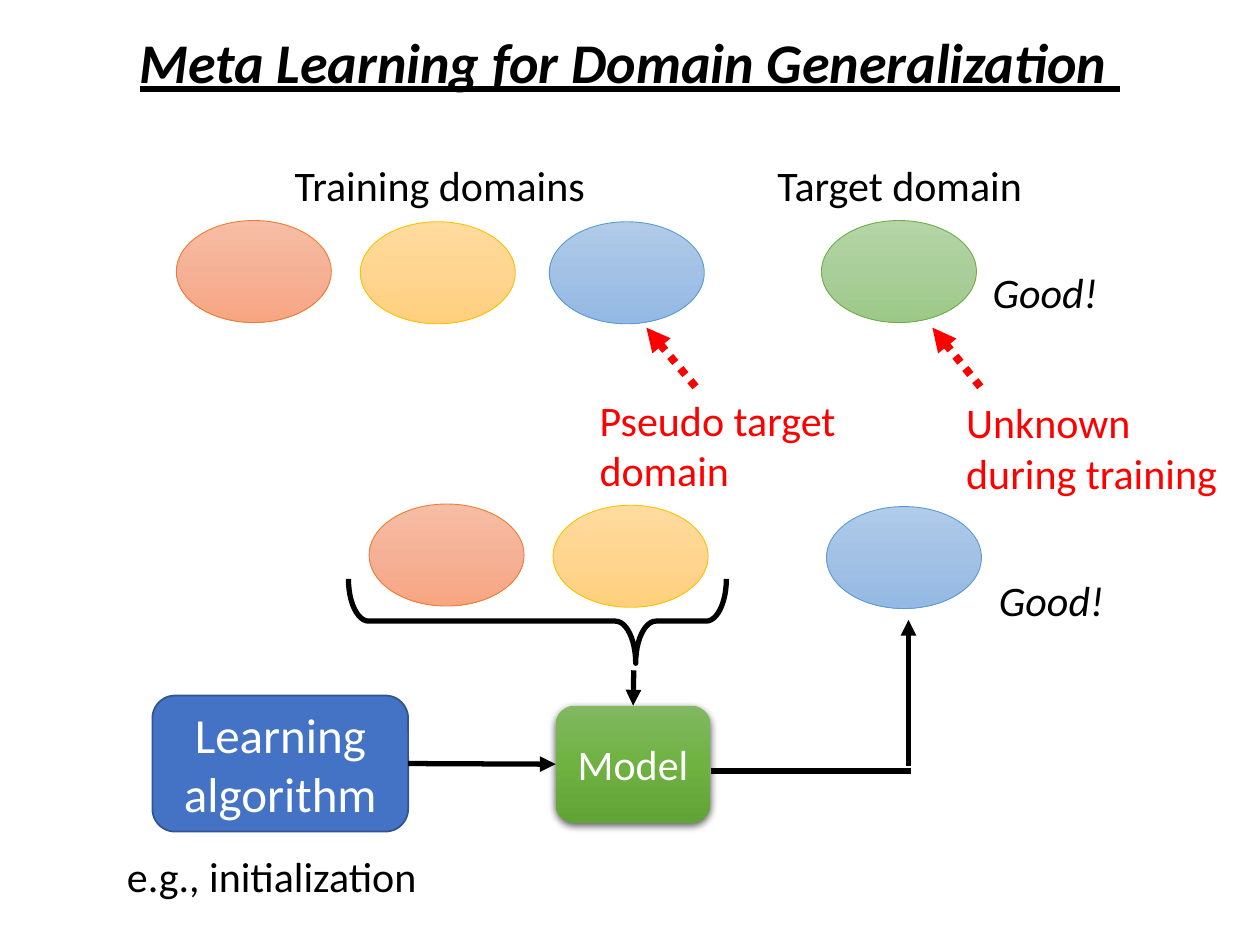
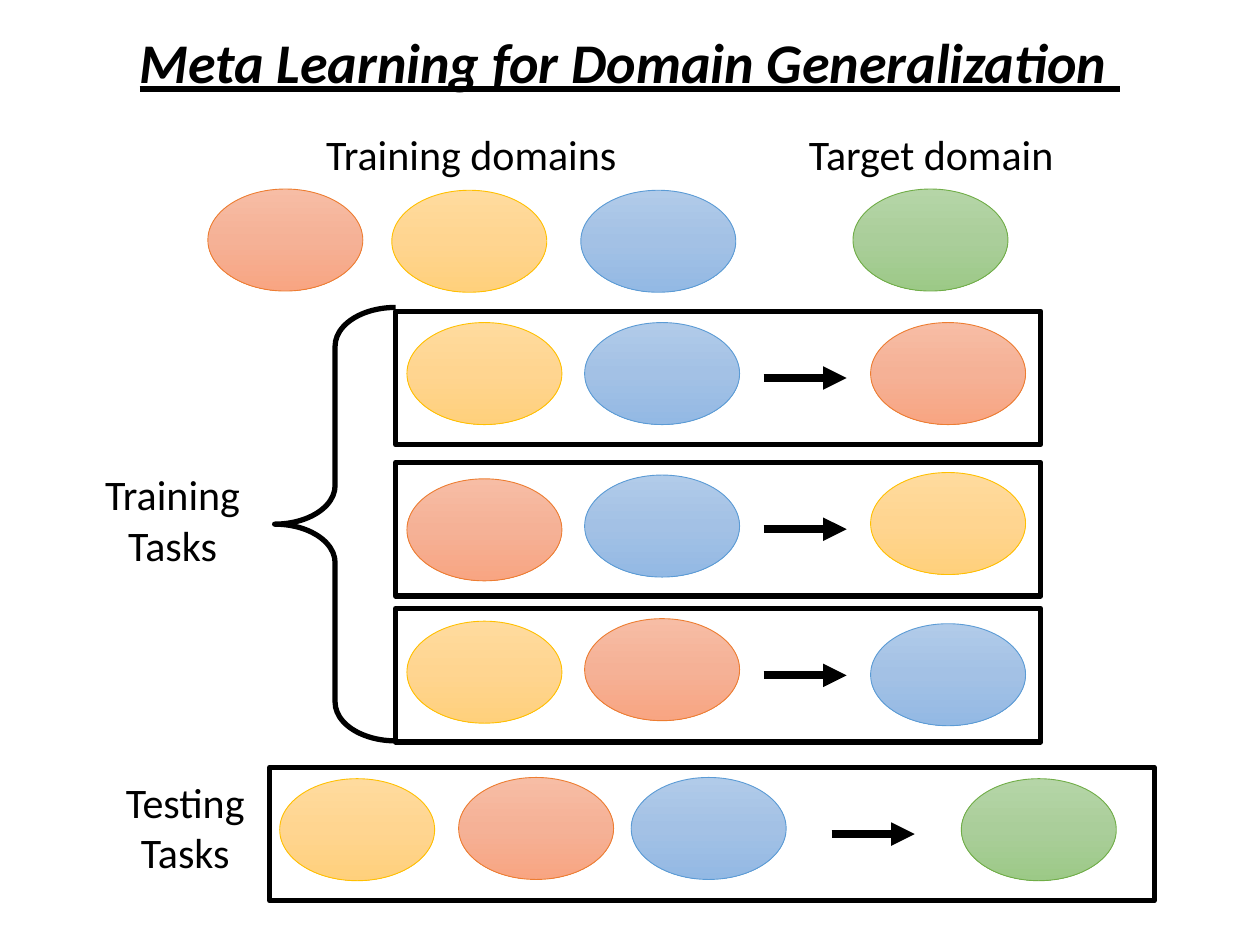
from copy import deepcopy

from lxml import etree
from pptx import Presentation
from pptx.dml.color import RGBColor
from pptx.enum import dml, shapes, text
from pptx.oxml import ns
from pptx.util import Inches, Pt

BLACK = RGBColor(0x00, 0x00, 0x00)
WHITE = RGBColor(0xFF, 0xFF, 0xFF)
RED = RGBColor(0xFF, 0x00, 0x00)
ALGORITHM_FILL = RGBColor(0x44, 0x72, 0xC4)
ALGORITHM_EDGE = RGBColor(0x32, 0x54, 0x91)
MODEL_SHADES = [RGBColor(0x81, 0xB8, 0x61), RGBColor(0x6F, 0xB2, 0x42), RGBColor(0x62, 0xA3, 0x36)]
DOMAIN_SHADES = {
    "orange": [RGBColor(0xF7, 0xBD, 0xA5), RGBColor(0xF5, 0xB1, 0x96), RGBColor(0xF8, 0xA5, 0x82)],
    "yellow": [RGBColor(0xFF, 0xDB, 0x9E), RGBColor(0xFF, 0xD5, 0x90), RGBColor(0xFF, 0xD0, 0x7C)],
    "blue": [RGBColor(0xB1, 0xCB, 0xE9), RGBColor(0xA3, 0xC1, 0xE5), RGBColor(0x93, 0xB9, 0xE4)],
    "green": [RGBColor(0xB5, 0xD5, 0xA7), RGBColor(0xAA, 0xCE, 0x9A), RGBColor(0x9C, 0xC9, 0x87)],
}
DOMAIN_EDGES = {
    "orange": RGBColor(0xED, 0x7D, 0x31),
    "yellow": RGBColor(0xFF, 0xC0, 0x00),
    "blue": RGBColor(0x5B, 0x9B, 0xD5),
    "green": RGBColor(0x70, 0xAD, 0x47),
}
FONT = "Calibri"
DOMAIN_SIZE = (1.23, 0.81)
LEFT, CENTER = text.PP_ALIGN.LEFT, text.PP_ALIGN.CENTER
PRESET = shapes.MSO_SHAPE

TITLE = "Meta Learning for Domain Generalization "
DOMAIN_GROUPS = [("Training domains", 1.89), ("Target domain", 5.54)]
DOMAINS = [("orange", 1.4, 1.75), ("yellow", 2.86, 1.76), ("blue", 4.36, 1.76), ("green", 6.52, 1.75)]

PSEUDO_SPLIT = [("orange", 2.93, 4.0), ("yellow", 4.39, 4.01), ("blue", 6.56, 4.02)]
REMARKS = [
    ("Good!", (7.78, 2.07, 1.81, 0.5), BLACK, True),
    ("Good!", (7.83, 4.51, 1.81, 0.5), BLACK, True),
    ("Unknown during training", (7.57, 3.1, 2.25, 0.91), RED, False),
    ("Pseudo target domain", (4.66, 3.08, 2.25, 0.91), RED, False),
    ("e.g., initialization", (0.91, 6.7, 2.67, 0.5), BLACK, False),
]
POINTERS = [((7.78, 3.07), (7.4, 2.6)), ((5.52, 3.07), (5.13, 2.6))]

TASK_LABELS = [("Training Tasks", 0.62, 3.67), ("Testing Tasks", 0.72, 6.11)]
TRAINING_COLUMNS = (3.23, 4.64, 6.91)
TESTING_COLUMNS = (2.22, 3.64, 5.01, 7.63)
TRAINING_FRAME = (3.14, 5.12)
TESTING_FRAME = (2.14, 7.02)
TASKS = [
    (2.47, TRAINING_FRAME, TRAINING_COLUMNS, 6.06,
     [("yellow", 2.56), ("blue", 2.56), ("orange", 2.56)]),
    (3.67, TRAINING_FRAME, TRAINING_COLUMNS, 6.06,
     [("orange", 3.8), ("blue", 3.77), ("yellow", 3.75)]),
    (4.83, TRAINING_FRAME, TRAINING_COLUMNS, 6.06,
     [("yellow", 4.93), ("orange", 4.91), ("blue", 4.95)]),
    (6.09, TESTING_FRAME, TESTING_COLUMNS, 6.6,
     [("yellow", 6.18), ("orange", 6.17), ("blue", 6.17), ("green", 6.18)]),
]


def write(frame, words, size=24, color=BLACK, align=LEFT, bold=False, italic=False, underline=False):
    frame.word_wrap = True
    paragraph = frame.paragraphs[0]
    paragraph.alignment = align
    run = paragraph.add_run()
    run.text = words
    font = run.font
    font.name, font.size, font.color.rgb = FONT, Pt(size), color
    font.bold, font.italic, font.underline = bold, italic, underline


def add_label(slide, words, box, **style):
    frame = slide.shapes.add_textbox(*map(Inches, box)).text_frame
    write(frame, words, **style)
    frame.auto_size = text.MSO_AUTO_SIZE.SHAPE_TO_FIT_TEXT


def fill_gradient(fill, shades):
    fill.gradient()
    fill.gradient_angle = 270
    first = fill._fill._gradFill.gsLst[0]
    middle = deepcopy(first)
    first.addnext(middle)
    for stop, shade, position in zip(fill.gradient_stops, shades, (0, 0.5, 1)):
        stop.color.rgb = shade
        stop.position = position


def add_part(slide, preset, box, fill=None, edge=None, width=3, adjust=()):
    part = slide.shapes.add_shape(preset, *map(Inches, box))
    part.shadow.inherit = False
    for index, value in enumerate(adjust):
        part.adjustments[index] = value
    if fill is None:
        part.fill.background()
    elif isinstance(fill, list):
        fill_gradient(part.fill, fill)
    else:
        part.fill.solid()
        part.fill.fore_color.rgb = fill
    if edge is None:
        part.line.fill.background()
    else:
        part.line.color.rgb = edge
        part.line.width = Pt(width)
    return part


def add_domain(slide, hue, left, top):
    add_part(slide, PRESET.OVAL, (left, top, *DOMAIN_SIZE), DOMAIN_SHADES[hue], DOMAIN_EDGES[hue], 0.5)


def add_line(slide, start, end, color=BLACK, width=3, dotted=False, arrow=True):
    line = slide.shapes.add_connector(shapes.MSO_CONNECTOR.STRAIGHT, *map(Inches, start + end))
    line.line.color.rgb = color
    line.line.width = Pt(width)
    if dotted:
        line.line.dash_style = dml.MSO_LINE.ROUND_DOT
    if arrow:
        etree.SubElement(line.line._get_or_add_ln(), ns.qn("a:tailEnd"), type="triangle")
    etree.SubElement(line._element.spPr, ns.qn("a:effectLst"))
    return line


def cast_shadow(part):
    effects = part._element.spPr.find(ns.qn("a:effectLst"))
    shadow = etree.SubElement(effects, ns.qn("a:outerShdw"), blurRad=str(Pt(4.5)), dist=str(Pt(1.5)),
                              dir="5400000", algn="ctr", rotWithShape="0")
    color = etree.SubElement(shadow, ns.qn("a:srgbClr"), val=str(BLACK))
    etree.SubElement(color, ns.qn("a:alpha"), val="63000")


def start_slide(deck, shift):
    slide = deck.slides.add_slide(deck.slide_layouts[6])
    add_label(slide, TITLE, (0.97, 0.17, 8.06, 0.64), size=32, align=CENTER,
              bold=True, italic=True, underline=True)
    for words, left in DOMAIN_GROUPS:
        add_label(slide, words, (left + shift, 1.22 - shift, 3.2, 0.5), align=CENTER)
    for hue, left, top in DOMAINS:
        add_domain(slide, hue, left + shift, top - shift)
    return slide


def build_learning_slide(deck):
    slide = start_slide(deck, 0)
    for words, box, color, italic in REMARKS:
        add_label(slide, words, box, color=color, italic=italic)
    for start, end in POINTERS:
        add_line(slide, start, end, RED, 4.5, dotted=True)
    for domain in PSEUDO_SPLIT:
        add_domain(slide, *domain)

    algorithm = add_part(slide, PRESET.ROUNDED_RECTANGLE, (1.21, 5.52, 2.03, 1.08),
                         ALGORITHM_FILL, ALGORITHM_EDGE, 1)
    write(algorithm.text_frame, "Learning algorithm", size=28, color=WHITE, align=CENTER)
    model = add_part(slide, PRESET.ROUNDED_RECTANGLE, (4.41, 5.6, 1.23, 0.93), MODEL_SHADES)
    write(model.text_frame, "Model", color=WHITE, align=CENTER)
    cast_shadow(model)

    brace = add_part(slide, PRESET.RIGHT_BRACE, (3.93, 3.43, 0.67, 3), edge=BLACK, adjust=(0.24, 0.24))
    brace.rotation = 90
    learned = add_line(slide, (3.24, 6.06), (4.41, 6.06))
    learned.begin_connect(algorithm, 3)
    learned.end_connect(model, 1)
    trained = add_line(slide, (5.03, 5.32), (5.03, 5.6))
    trained.end_connect(model, 0)
    add_line(slide, (5.64, 6.12), (7.23, 6.12), arrow=False)
    add_line(slide, (7.21, 6.08), (7.21, 4.92))


def build_tasks_slide(deck):
    slide = start_slide(deck, 0.25)
    for words, left, top in TASK_LABELS:
        add_label(slide, words, (left, top, 1.5, 0.91), align=CENTER)
    add_part(slide, PRESET.LEFT_BRACE, (2.18, 2.44, 0.96, 3.44), edge=BLACK, adjust=(0.32, 0.5))
    for top, (left, width), columns, arrow_left, domains in TASKS:
        add_part(slide, PRESET.RECTANGLE, (left, top, width, 1.06), edge=BLACK)
        for column, (hue, domain_top) in zip(columns, domains):
            add_domain(slide, hue, column, domain_top)
        middle = top + 0.53
        add_line(slide, (arrow_left, middle), (arrow_left + 0.66, middle), width=4.5)


def main():
    deck = Presentation()
    deck.slide_width, deck.slide_height = Inches(10), Inches(7.5)
    build_learning_slide(deck)
    build_tasks_slide(deck)
    deck.save("out.pptx")


if __name__ == "__main__":
    main()
